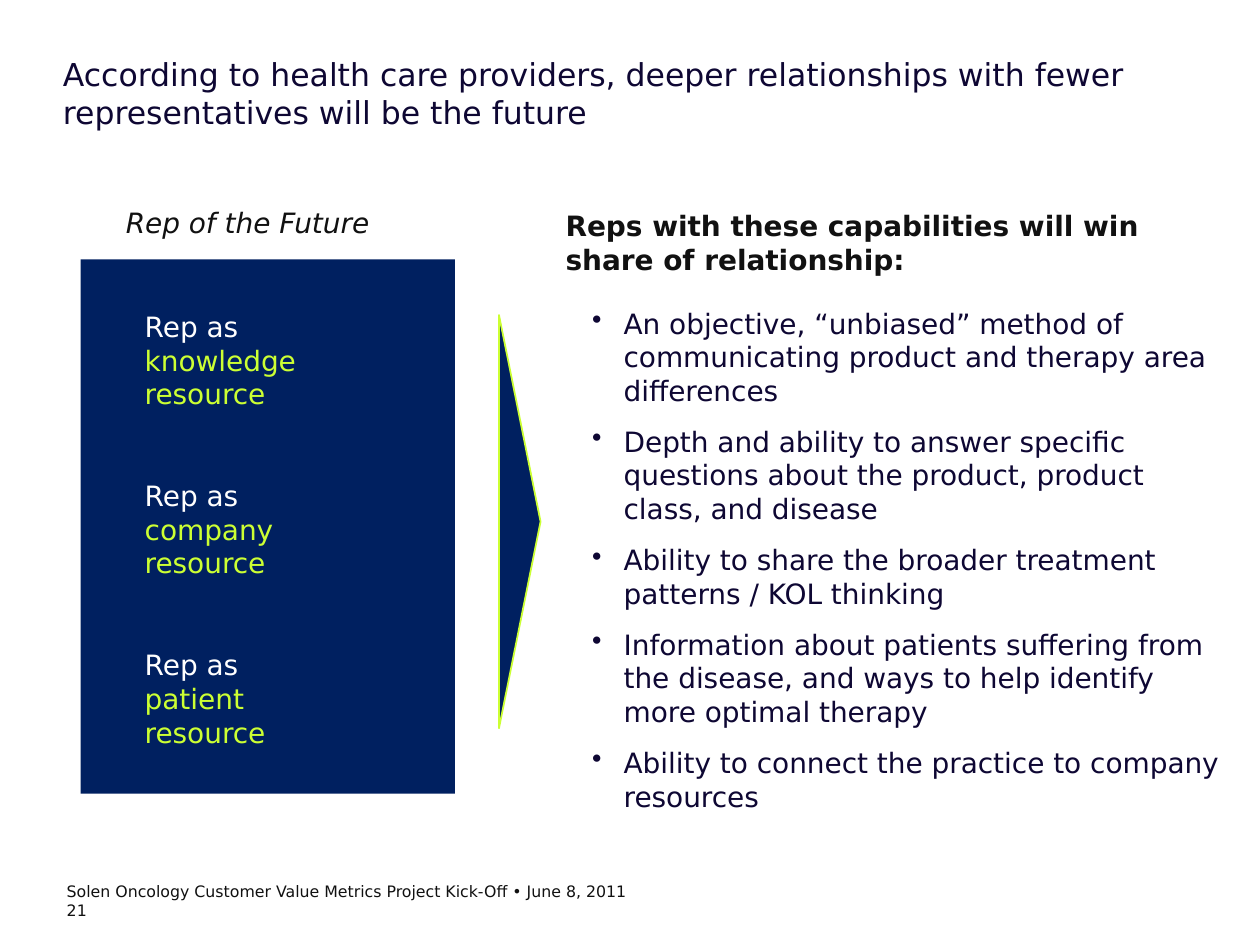
from lxml import etree
from pptx import Presentation
from pptx.dml.color import RGBColor
from pptx.enum.shapes import MSO_SHAPE as Shape
from pptx.oxml.ns import qn
from pptx.util import Inches, Pt

NAVY = RGBColor(0x00, 0x20, 0x60)
INDIGO = RGBColor(0x0E, 0x07, 0x33)
BLACK = RGBColor(0x11, 0x11, 0x11)
WHITE = RGBColor(0xFF, 0xFF, 0xFF)
LIME = RGBColor(0xCC, 0xFF, 0x33)

TITLE = ("According to health care providers, deeper relationships "
         "with fewer representatives will be the future")
ROLES = ["knowledge", "company", "patient"]
CAPABILITIES = [
    "An objective, “unbiased” method of communicating product and therapy area differences",
    "Depth and ability to answer specific questions about the product, product class, and disease",
    "Ability to share the broader treatment patterns / KOL thinking",
    "Information about patients suffering from the disease, "
    "and ways to help identify more optimal therapy",
    "Ability to connect the practice to company resources",
]
FOOTER = ["Solen Oncology Customer Value Metrics Project Kick-Off • June 8, 2011", "21"]


def add_bullet(para):
    properties = para._p.get_or_add_pPr()
    properties.set("marL", str(Inches(0.25)))
    properties.set("indent", str(-Inches(0.25)))
    etree.SubElement(properties, qn("a:buChar")).set("char", "•")


def add_text(page, area, paragraphs, size=16, gap=0, inset=(0, 0), bullets=False, **style):
    """Each paragraph is a list of (text, colour) spans; gap is the points between paragraphs."""
    box = page.shapes.add_textbox(*map(Inches, area))
    frame = box.text_frame
    side, edge = map(Inches, inset)
    margins = {"margin_left": side, "margin_right": side,
               "margin_top": edge, "margin_bottom": edge}
    for name, value in {"word_wrap": True, **margins}.items():
        setattr(frame, name, value)
    for index, spans in enumerate(paragraphs):
        para = frame.add_paragraph() if index else frame.paragraphs[0]
        if bullets:
            add_bullet(para)
        para.space_before = Pt(gap if index else 0)
        for text, colour in spans:
            span = para.add_run()
            span.text = text
            span.font.color.rgb = colour
            for name, value in {"name": "DejaVu Sans", "size": Pt(size), **style}.items():
                setattr(span.font, name, value)


def add_block(page, kind, area, line=None):
    block = page.shapes.add_shape(kind, *map(Inches, area))
    block.shadow.inherit = False
    block.fill.solid()
    block.fill.fore_color.rgb = NAVY
    if line is None:
        block.line.fill.background()
    else:
        block.line.color.rgb = line
        block.line.width = Pt(1)
    return block


def add_roles(page, left, top, width, height):
    add_text(page, (left + 0.26, top - 0.48, 2.42, 0.37),
             [[("Rep of the Future", BLACK)]], inset=(0.1, 0.05), italic=True)
    add_block(page, Shape.RECTANGLE, (left, top, width, height))
    roles = [[("Rep as ", WHITE), (f"{role} resource", LIME)] for role in ROLES]
    add_text(page, (left + 0.41, top + 0.35, 1.69, 3.32), roles, gap=39, inset=(0.1, 0.05))


def add_pointer(page, left, top, width, height):
    """Place a right-pointing triangle; its frame is turned about the centre of the area."""
    shift = (height - width) / 2
    pointer = add_block(page, Shape.ISOSCELES_TRIANGLE,
                        (left - shift, top + shift, height, width), LIME)
    pointer.rotation = 90


def add_capabilities(page, left, top, width, height):
    add_text(page, (left, top, width, 0.64),
             [[("Reps with these capabilities will win share of relationship:", BLACK)]],
             inset=(0.1, 0.05), bold=True)
    add_text(page, (left + 0.31, top + 0.82, 5, height - 0.82),
             [[(item, INDIGO)] for item in CAPABILITIES], gap=10, bullets=True)


def main():
    deck = Presentation()
    deck.slide_width, deck.slide_height = Inches(10), Inches(7.5)
    page = deck.slides.add_slide(deck.slide_layouts[6])
    add_text(page, (0.5, 0.44, 9, 1), [[(TITLE, INDIGO)]], size=18)
    add_roles(page, 0.64, 2.06, 2.97, 4.24)
    add_pointer(page, 3.96, 2.5, 0.33, 3.28)
    add_capabilities(page, 4.39, 1.61, 5.09, 5.08)
    add_text(page, (0.53, 7, 7.5, 0.35), [[(line, BLACK)] for line in FOOTER], size=9)
    deck.save("out.pptx")


if __name__ == "__main__":
    main()
